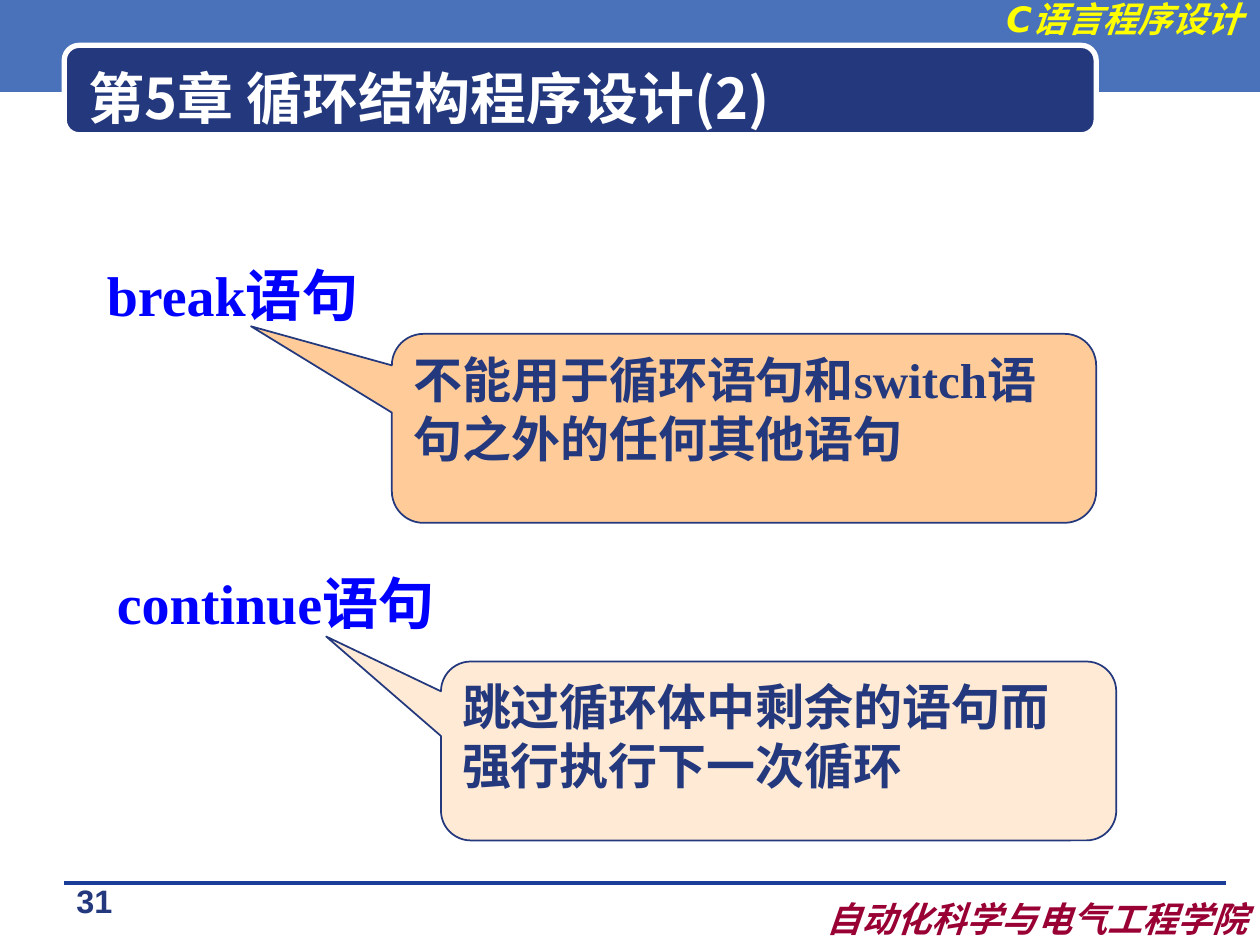
from lxml.etree import SubElement
from pptx import Presentation
from pptx.dml.color import RGBColor
from pptx.enum.shapes import MSO_CONNECTOR as Connector, MSO_SHAPE as Shape
from pptx.enum.text import MSO_ANCHOR as Anchor, MSO_AUTO_SIZE as AutoSize, PP_ALIGN as Align
from pptx.oxml.ns import qn
from pptx.util import Inches, Pt

NAVY, WHITE = "23387D", "FFFFFF"
CJK_FONT = "Noto Sans CJK SC"


def color(hex_string):
    return RGBColor.from_string(hex_string)


def write(shape, text, size, font_name, hex_color, align=Align.LEFT,
          anchor=Anchor.TOP, italic=False):
    """Fill a shape with one bold paragraph and return it."""
    frame = shape.text_frame
    frame.word_wrap = True
    frame.auto_size = AutoSize.NONE
    frame.vertical_anchor = anchor
    frame.margin_left = frame.margin_right = Inches(0.1)
    frame.margin_top = frame.margin_bottom = Inches(0.05)
    para = frame.paragraphs[0]
    para.text = text
    para.alignment = align
    font = para.font
    font.size = Pt(size)
    font.bold, font.italic = True, italic
    font.color.rgb = color(hex_color)
    font.name = font_name
    SubElement(font._element, qn("a:ea"), typeface=CJK_FONT)
    return para


def add_text(page, box, text, *style, **options):
    label = page.shapes.add_textbox(*map(Inches, box))
    return write(label, text, *style, **options)


def add_box(page, kind, box, fill, line=None, width=1):
    shape = page.shapes.add_shape(kind, *map(Inches, box))
    shape.shadow.inherit = False
    shape.fill.solid()
    shape.fill.fore_color.rgb = color(fill)
    if line:
        shape.line.color.rgb = color(line)
        shape.line.width = Pt(width)
    else:
        shape.line.fill.background()
    return shape


def add_header(page, left, top, width, height):
    # Band across the page with the course name
    add_box(page, Shape.RECTANGLE, (left, top, width, height), "4972BB")
    add_text(page, (left + width - 2.56, top - 0.04, 2.52, 0.44), "C语言程序设计",
             20, "DejaVu Sans", "FFFF00", align=Align.RIGHT, italic=True)
    # Rounded plate under the title
    add_box(page, Shape.ROUNDED_RECTANGLE, (left + 0.51, top + 0.39, 8.19, 0.71),
            NAVY, WHITE, 3)
    # Title, raised above the plate
    title = page.shapes.title
    title.left, title.top = Inches(left + 0.6), Inches(top + 0.49)
    title.width, title.height = Inches(7.83), Inches(0.62)
    write(title, "第5章 循环结构程序设计(2)", 32, CJK_FONT, WHITE, anchor=Anchor.MIDDLE)
    page.shapes._spTree.append(title._element)


def add_footer(page, left, top, width):
    rule = page.shapes.add_connector(
        Connector.STRAIGHT, Inches(left + 0.51), Inches(top),
        Inches(left + width - 0.27), Inches(top))
    rule.line.color.rgb = color("1A3D97")
    rule.line.width = Pt(0)
    SubElement(rule._element.spPr, qn("a:effectLst"))
    add_text(page, (left + width - 4.04, top + 0.06, 4.04, 0.44),
             "自动化科学与电气工程学院", 20, "DejaVu Sans", "990033",
             align=Align.RIGHT, italic=True)
    number = add_text(page, (left + 0.2, top - 0.03, 1.1, 0.43), "31",
                      18.5, "Arial", NAVY, align=Align.CENTER)
    number.line_spacing = 0.9


def add_statement(page, left, top, name, note, note_box, fill, pointer):
    """Statement name with a callout, whose box is relative to the name."""
    add_text(page, (left, top, 3.94, 0.64), name, 32, "Times New Roman", "0000FF")
    dx, dy, width, height = note_box
    callout = add_box(page, Shape.ROUNDED_RECTANGULAR_CALLOUT,
                      (left + dx, top + dy, width, height), fill, NAVY)
    for index, value in enumerate((*pointer, 0.167)):
        callout.adjustments[index] = value
    write(callout, note, 28, "Times New Roman", NAVY)


def main():
    deck = Presentation()
    deck.slide_width, deck.slide_height = Inches(10), Inches(7.5)
    page = deck.slides.add_slide(deck.slide_layouts[5])
    add_header(page, 0, -0.03, 10, 0.76)
    add_footer(page, 0, 7.01, 10)
    add_statement(page, 0.75, 2.02, "break语句",
                  "不能用于循环语句和switch语句之外的任何其他语句",
                  (2.36, 0.63, 5.59, 1.5), "FFCC99", (-0.7, -0.54))
    add_statement(page, 0.83, 4.46, "continue语句",
                  "跳过循环体中剩余的语句而强行执行下一次循环",
                  (2.67, 0.79, 5.36, 1.42), "FFEAD5", (-0.67, -0.64))
    deck.save("out.pptx")


if __name__ == "__main__":
    main()
